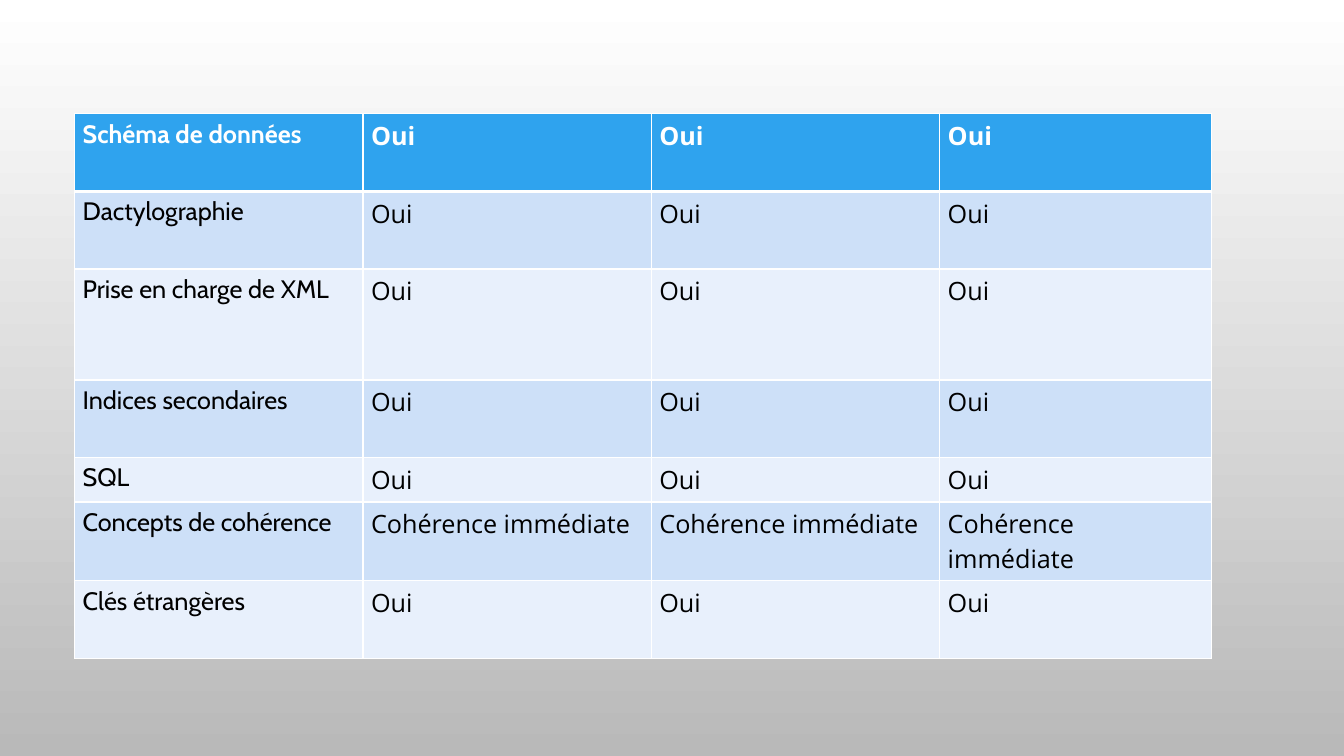
from dataclasses import dataclass

from lxml import etree
from pptx import Presentation
from pptx import util as u
from pptx.dml.color import RGBColor
from pptx.oxml.ns import qn
from pptx.slide import Slide


@dataclass(frozen=True)
class Theme:
    """Colours, fonts and sizes of the slide."""
    bg_top: str = "FFFFFF"
    bg_bottom: str = "B9B9B9"
    header_fill: str = "2FA3EE"
    bands: tuple[str, str] = ("CDE0F8", "E8F0FC")
    header_text: str = "FFFFFF"
    body_text: str = "000000"
    border: str = "FFFFFF"
    thin: float = 1
    thick: float = 3
    label_font: str = "Cabin"
    value_font: str = "Open Sans"
    size: float = 18


@dataclass(frozen=True)
class Feature:
    """One table row: a feature and the value shared by all columns."""
    label: str
    height: float = 0.77
    value: str = "Oui"


THEME = Theme()
COLUMN_WIDTHS = (2.86, 2.86, 2.86, 2.7)
FEATURES = (
    Feature("Schéma de données"),
    Feature("Dactylographie"),
    Feature("Prise en charge de XML", height=1.1),
    Feature("Indices secondaires"),
    Feature("SQL", height=0.44),
    Feature("Concepts de cohérence", value="Cohérence immédiate"),
    Feature("Clés étrangères"),
)


def paint_background(s: Slide) -> None:
    """Fill the background with a gradient running downwards."""
    fill = s.background.fill
    fill.gradient()
    fill.gradient_angle = 270
    for stop, colour in zip(fill.gradient_stops, (THEME.bg_top, THEME.bg_bottom)):
        stop.color.rgb = RGBColor.from_string(colour)


def set_borders(cell, top: float, bottom: float) -> None:
    """Draw the four cell borders, ahead of the fill in the XML."""
    tc_pr = cell._tc.get_or_add_tcPr()
    widths = {"lnL": THEME.thin, "lnR": THEME.thin, "lnT": top, "lnB": bottom}
    for i, (side, width) in enumerate(widths.items()):
        ln = etree.Element(qn(f"a:{side}"), w=str(u.Pt(width)))
        solid = etree.SubElement(ln, qn("a:solidFill"))
        etree.SubElement(solid, qn("a:srgbClr"), val=THEME.border)
        tc_pr.insert(i, ln)


def fill_cell(cell, text: str, row: int, col: int) -> None:
    """Write and style one cell according to its row and column."""
    header = row == 0
    cell.margin_left = cell.margin_right = u.Inches(0.08)
    cell.margin_top = cell.margin_bottom = u.Inches(0.05)
    cell.fill.solid()
    fill = THEME.header_fill if header else THEME.bands[(row - 1) % 2]
    cell.fill.fore_color.rgb = RGBColor.from_string(fill)
    set_borders(cell, top=THEME.thick if row == 1 else THEME.thin,
                bottom=THEME.thick if header else THEME.thin)

    p = cell.text_frame.paragraphs[0]
    p.text = text
    p.font.name = THEME.label_font if col == 0 else THEME.value_font
    p.font.size = u.Pt(THEME.size)
    p.font.bold = header
    colour = THEME.header_text if header else THEME.body_text
    p.font.color.rgb = RGBColor.from_string(colour)


def add_feature_table(s: Slide) -> None:
    """Add the comparison table of features."""
    table = s.shapes.add_table(
        len(FEATURES), len(COLUMN_WIDTHS), u.Inches(0.74), u.Inches(1.13),
        u.Inches(sum(COLUMN_WIDTHS)), u.Inches(sum(f.height for f in FEATURES)),
    ).table
    for column, width in zip(table.columns, COLUMN_WIDTHS):
        column.width = u.Inches(width)
    for row, feature in enumerate(FEATURES):
        table.rows[row].height = u.Inches(feature.height)
        for col in range(len(COLUMN_WIDTHS)):
            text = feature.label if col == 0 else feature.value
            fill_cell(table.cell(row, col), text, row, col)


def main() -> None:
    """Build and save the slide."""
    prs = Presentation()
    prs.slide_width, prs.slide_height = u.Inches(13.33), u.Inches(7.5)
    s = prs.slides.add_slide(prs.slide_layouts[6])
    paint_background(s)
    add_feature_table(s)
    prs.save("out.pptx")


main()
